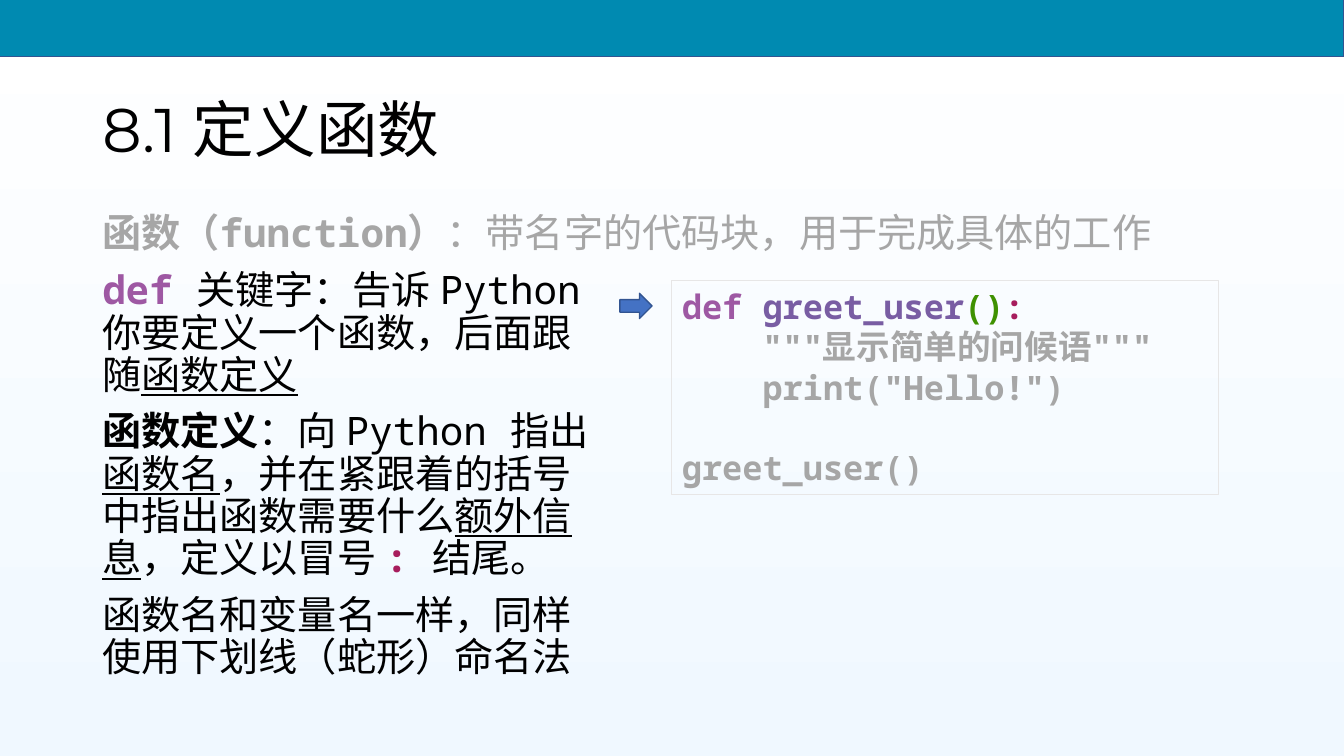
from copy import deepcopy

from pptx import Presentation
from pptx.dml.color import RGBColor
from pptx.enum.shapes import MSO_SHAPE
from pptx.enum.text import MSO_ANCHOR, MSO_AUTO_SIZE
from pptx.util import Pt

# Colours
BLACK = RGBColor(0x00, 0x00, 0x00)
WHITE = RGBColor(0xFF, 0xFF, 0xFF)
ICE = RGBColor(0xF0, 0xF8, 0xFF)
TEAL = RGBColor(0x00, 0x8A, 0xB1)
BLUE = RGBColor(0x44, 0x72, 0xC4)
NAVY = RGBColor(0x32, 0x54, 0x91)
PALE = RGBColor(0xE7, 0xE6, 0xE6)
GREY = RGBColor(0xA6, 0xA6, 0xA6)
PURPLE = RGBColor(0x9E, 0x58, 0xA3)
VIOLET = RGBColor(0x79, 0x5D, 0xA3)
GREEN = RGBColor(0x3F, 0x91, 0x01)
CRIMSON = RGBColor(0xA7, 0x1D, 0x5D)

# Run formats
BODY = {"name": "Calibri", "size": Pt(28), "color": BLACK, "bold": False}
MONO = {**BODY, "name": "Noto Sans Mono"}
STRONG = {**BODY, "bold": True}
UNDER = {**BODY, "underline": True}
KEYWORD = {**MONO, "bold": True, "color": PURPLE}
COLON = {**KEYWORD, "color": CRIMSON}
FADED = {**BODY, "color": GREY}
FADED_STRONG = {**FADED, "bold": True}
CODE = {**MONO, "size": Pt(24), "bold": True, "color": GREY}
TITLE = {"name": "Montserrat", "size": Pt(44), "color": BLACK}

# Content: paragraphs of lines of (text, format) runs
title = [[[("8.1 定义函数", TITLE)]]]
summary = [[[
    ("函数（", FADED_STRONG),
    ("function", {**FADED_STRONG, "name": "Noto Sans Mono"}),
    ("）", FADED_STRONG),
    ("：带名字的代码块，用于完成具体的工作", FADED),
]]]
explanation = [
    [[("def ", KEYWORD), ("关键字：告诉 ", BODY), ("Python ", MONO),
      ("你要定义一个函数，后面跟随", BODY), ("函数定义", UNDER)]],
    [[("函数定义", STRONG), ("：向 ", BODY), ("Python ", MONO), ("指出", BODY),
      ("函数名", UNDER), ("，并在紧跟着的括号中指出函数需要什么", BODY),
      ("额外信息", UNDER), ("，定义以冒号 ", BODY), (": ", COLON), ("结尾。", BODY)]],
    [[("函数名和变量名一样，同样使用下划线（蛇形）命名法", BODY)]],
]
code = [[
    [("def ", {**CODE, "color": PURPLE}), ("greet_user", {**CODE, "color": VIOLET}),
     ("()", {**CODE, "color": GREEN}), (":", {**CODE, "color": CRIMSON})],
    [('    """显示简单的问候语"""', CODE)],
    [('    print("Hello!")', CODE)],
    [],
    [("greet_user()", CODE)],
]]


def add_run(p, text, fmt):
    r = p.add_run()
    r.text = text
    for key, value in fmt.items():
        if key == "color":
            r.font.color.rgb = value
        else:
            setattr(r.font, key, value)
    return r


def add_text(s, box, paragraphs, spacing=0.9, anchor=MSO_ANCHOR.TOP):
    sp = s.shapes.add_textbox(*map(Pt, box))
    tf = sp.text_frame
    tf.word_wrap = True
    tf.vertical_anchor = anchor
    for i, lines in enumerate(paragraphs):
        p = tf.add_paragraph() if i else tf.paragraphs[0]
        p.line_spacing = spacing
        p.space_before = Pt(10 if i else 0)
        for j, runs in enumerate(lines):
            if j:
                # The break takes the format of the last run, so blank lines keep their height
                p.add_line_break()
                p._p[-1].append(deepcopy(r._r.rPr))
            for text, fmt in runs:
                r = add_run(p, text, fmt)
    return sp


def add_block(s, kind, box, fill):
    sp = s.shapes.add_shape(kind, *map(Pt, box))
    sp.shadow.inherit = False
    sp.fill.solid()
    sp.fill.fore_color.rgb = fill
    sp.line.color.rgb = NAVY
    sp.line.width = Pt(1)


prs = Presentation()
prs.slide_width, prs.slide_height = Pt(960), Pt(540)
s = prs.slides.add_slide(prs.slide_layouts[6])

# Background, white at the top
fill = s.background.fill
fill.gradient()
fill.gradient_angle = 270
for stop, color in zip(fill.gradient_stops, (WHITE, ICE)):
    stop.color.rgb = color

# Top bar, title and summary
LEFT, WIDTH = 66, 828
add_block(s, MSO_SHAPE.RECTANGLE, (-1.4, -1.4, 961.4, 41.8), TEAL)
add_text(s, (LEFT, 55.5, WIDTH, 79), title, anchor=MSO_ANCHOR.MIDDLE)
add_text(s, (LEFT, 149, WIDTH, 40), summary)

# Explanation on the left, arrow to the code on the right
add_block(s, MSO_SHAPE.RIGHT_ARROW, (442.8, 209.5, 23, 18), BLUE)
sp = add_text(s, (480, 200.7, 390.4, 152.6), code, spacing=1.0)
sp.text_frame.auto_size = MSO_AUTO_SIZE.SHAPE_TO_FIT_TEXT
sp.line.color.rgb = PALE
sp.line.width = Pt(0.75)
add_text(s, (LEFT, 190, 363, 318), explanation)

prs.save("out.pptx")
